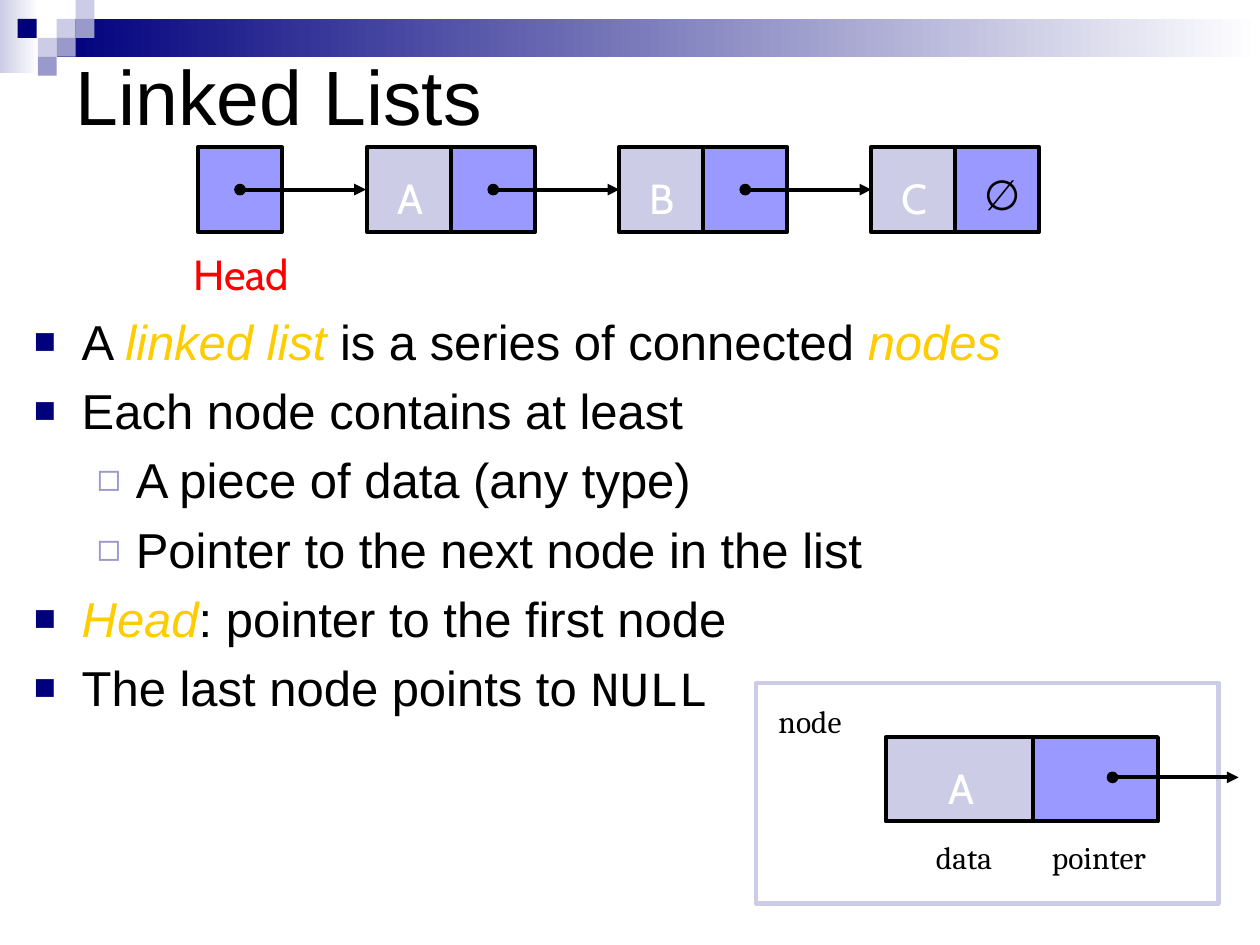
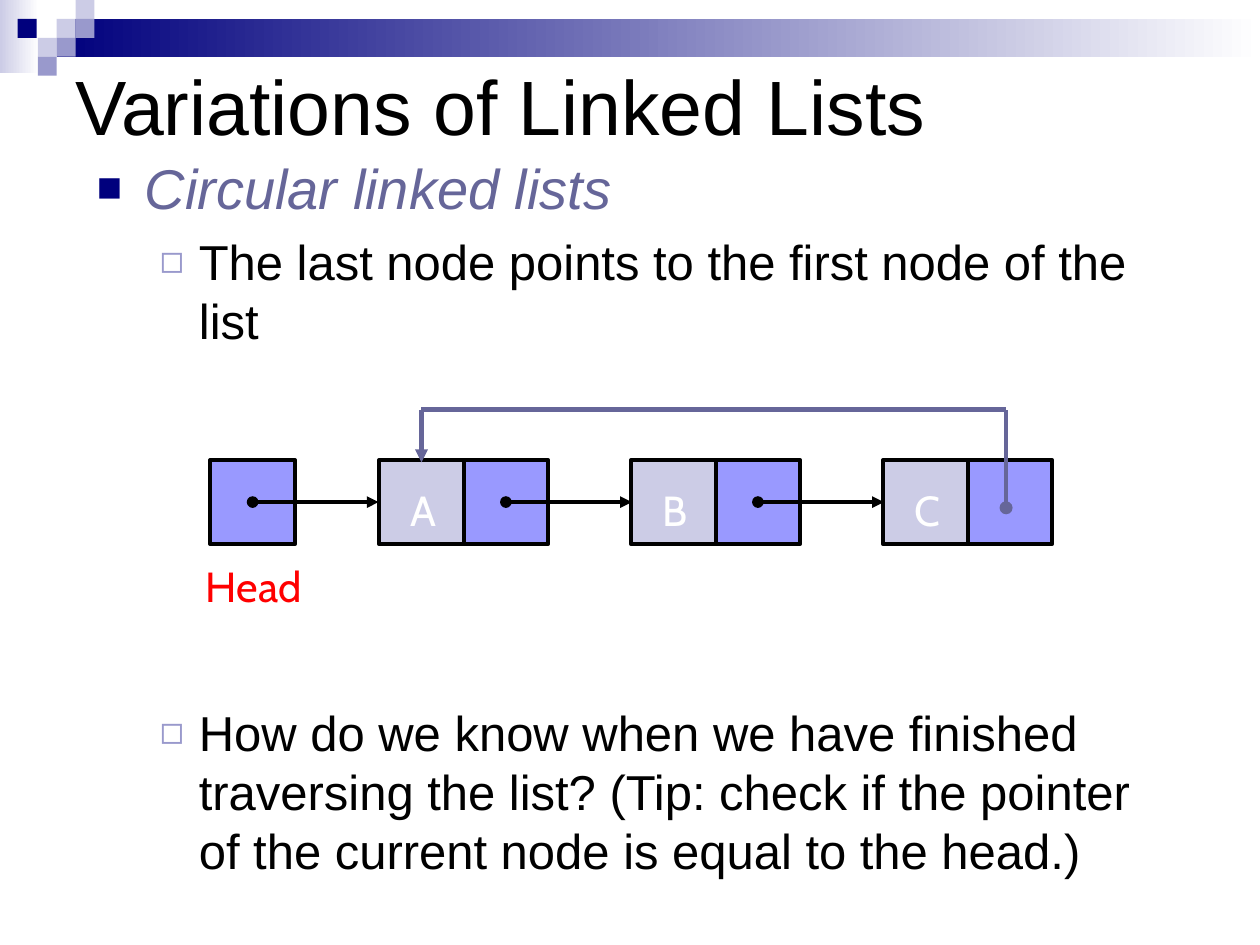
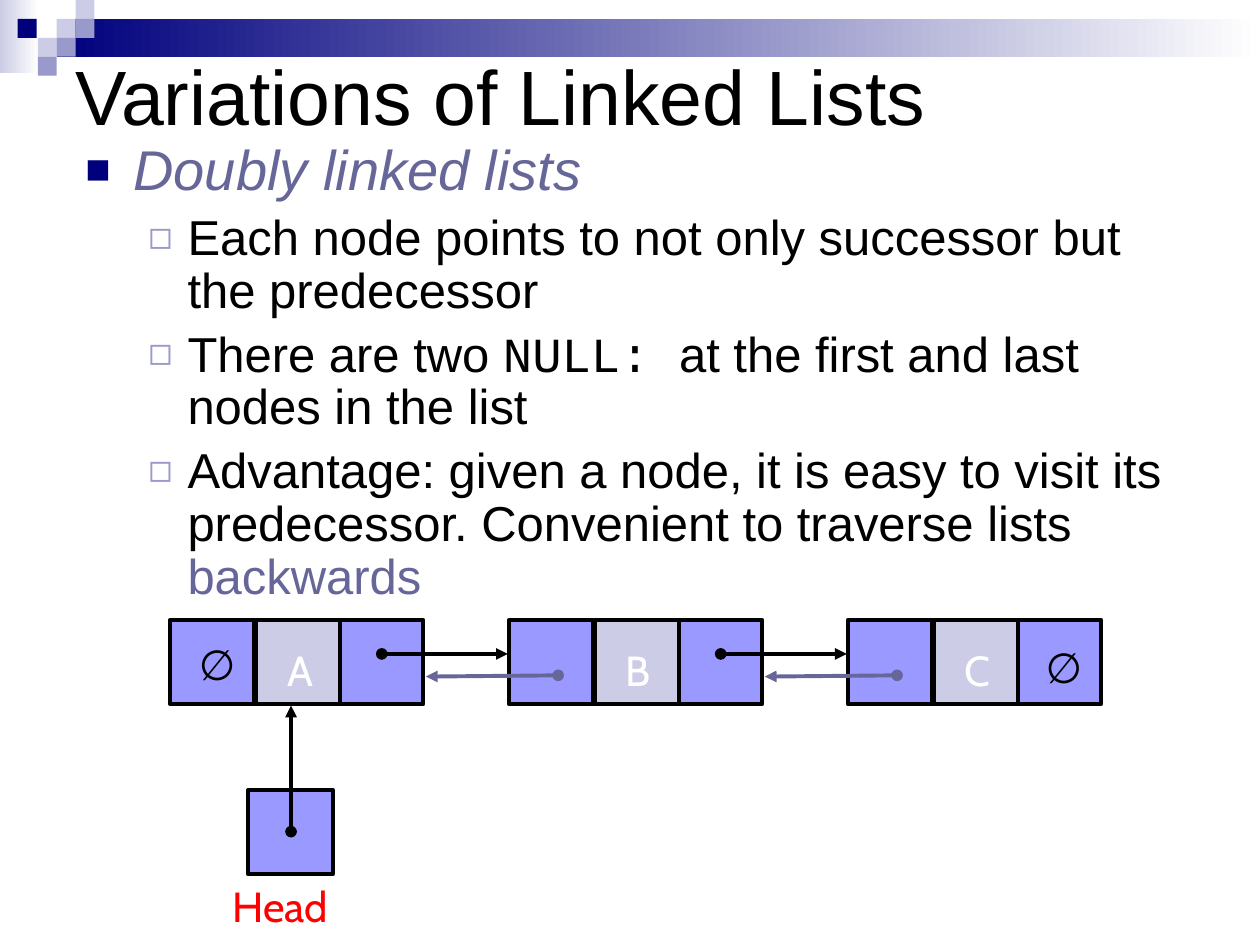
from lxml.etree import SubElement
from pptx import Presentation
from pptx.dml.color import RGBColor
from pptx.enum.shapes import MSO_CONNECTOR, MSO_SHAPE
from pptx.enum.text import MSO_ANCHOR, MSO_AUTO_SIZE, PP_ALIGN
from pptx.oxml.ns import qn
from pptx.util import Inches, Pt

COLORS = {
    "black": "000000", "white": "FFFFFF", "navy": "00007D", "lilac": "CCCCE6",
    "mauve": "9999CC", "pointer": "9999FF", "accent": "666699",
    "term": "FFCC00", "head": "FF0000",
}

# Content: each paragraph is (level, runs), each run (text, style)
STYLES = {
    "plain": {},
    "term": {"color": "term", "italic": True},
    "topic": {"color": "accent", "italic": True, "size": 32},
    "accent": {"color": "accent"},
    "code": {"font": "Courier New"},
}
DEFINITION = [
    (0, [("A ", "plain"), ("linked list", "term"),
         (" is a series of connected ", "plain"), ("nodes", "term")]),
    (0, [("Each node contains at least", "plain")]),
    (1, [("A piece of data (any type)", "plain")]),
    (1, [("Pointer to the next node in the list", "plain")]),
    (0, [("Head", "term"), (": pointer to the first node", "plain")]),
    (0, [("The last node points to ", "plain"), ("NULL", "code")]),
]
CIRCULAR = [
    (0, [("Circular linked lists", "topic")]),
    (1, [("The last node points to the first node of the list", "plain")]),
    (1, [("How do we know when we have finished traversing the list? "
          "(Tip: check if the pointer of the current node is equal to the head.)",
          "plain")]),
]
DOUBLY = [
    (0, [("Doubly linked lists", "topic")]),
    (1, [("Each node points to not only successor but the predecessor", "plain")]),
    (1, [("There are two ", "plain"), ("NULL: ", "code"),
         ("at the first and last nodes in the list", "plain")]),
    (1, [("Advantage: given a node, it is easy to visit its predecessor. "
          "Convenient to traverse lists ", "plain"), ("backwards", "accent")]),
]
NODES = ["A", "B", "C"]
NULL_SIGN = "∅"
CAPTIONS = [("data", 7.33, 6.6, 0.75), ("pointer", 8.25, 6.6, 1.08),
            ("node", 6.08, 5.52, 0.92)]

# Shared geometry
LEVELS = [  # text indent, hanging, bullet, bullet colour, bullet size %
    (0.38, 0.38, "■", "navy", 75),
    (0.81, 0.31, "◻", "mauve", 80),
]
BANDS = [(0, 0, 0.31, 0.58, "lilac"), (0.45, 0.15, 9.55, 0.3, "navy")]
TILE = 0.15
TILES = [(0.45, 0.15, "lilac"), (0.6, 0, "lilac"), (0.6, 0.15, "mauve"),
         (0.3, 0.3, "lilac"), (0.14, 0.15, "navy"), (0.45, 0.3, "mauve"),
         (0.3, 0.45, "mauve")]
CELL = 0.67
CHAIN_STEP = 2
LINK = 1


def rgb(name):
    return RGBColor.from_string(COLORS[name])


def add_rect(slide, left, top, width, height, fill=None, line=None, weight=2.25):
    rect = slide.shapes.add_shape(MSO_SHAPE.RECTANGLE, Inches(left), Inches(top),
                                  Inches(width), Inches(height))
    rect.shadow.inherit = False
    if fill:
        rect.fill.solid()
        rect.fill.fore_color.rgb = rgb(fill)
    else:
        rect.fill.background()
    if line:
        rect.line.color.rgb = rgb(line)
        rect.line.width = Pt(weight)
    else:
        rect.line.fill.background()
    return rect


def add_run(paragraph, text, size, font="Arial", color="black", italic=False):
    run = paragraph.add_run()
    run.text = text
    run.font.size = Pt(size)
    run.font.name = font
    run.font.italic = italic
    run.font.color.rgb = rgb(color)


def add_frame(slide, left, top, width, height, wrap=True, grow=False):
    box = slide.shapes.add_textbox(Inches(left), Inches(top),
                                   Inches(width), Inches(height))
    frame = box.text_frame
    frame.word_wrap = wrap
    frame.auto_size = MSO_AUTO_SIZE.SHAPE_TO_FIT_TEXT if grow else MSO_AUTO_SIZE.NONE
    return frame


def add_label(slide, text, left, top, width, height=0.43, color="white"):
    frame = add_frame(slide, left, top, width, height, wrap=False, grow=True)
    frame.paragraphs[0].alignment = PP_ALIGN.CENTER
    add_run(frame.paragraphs[0], text, 24, "Cabin", color)


def add_link(slide, start, end, color="black", weight=2.25, head="oval", tail="triangle"):
    points = [Inches(value) for value in (*start, *end)]
    link = slide.shapes.add_connector(MSO_CONNECTOR.STRAIGHT, *points)
    link.line.color.rgb = rgb(color)
    link.line.width = Pt(weight)
    properties = link.element.spPr
    outline = properties.find(qn("a:ln"))
    for tag, kind in (("a:headEnd", head), ("a:tailEnd", tail)):
        if kind:
            SubElement(outline, qn(tag), type=kind)
    SubElement(properties, qn("a:effectLst"))


def set_bullet(paragraph, level):
    indent, hanging, mark, color, percent = LEVELS[level]
    properties = paragraph._p.get_or_add_pPr()
    properties.set("marL", str(Inches(indent)))
    properties.set("indent", str(-Inches(hanging)))
    SubElement(SubElement(properties, qn("a:buClr")), qn("a:srgbClr"), val=COLORS[color])
    SubElement(properties, qn("a:buSzPct"), val=str(percent * 1000))
    SubElement(properties, qn("a:buFont"), typeface="Arial")
    SubElement(properties, qn("a:buChar"), char=mark)


def add_body(slide, paragraphs, place, line_spacing=None, gaps=None):
    """Bulleted text; gaps maps a paragraph index to its space before in points."""
    frame = add_frame(slide, *place)
    for index, (level, runs) in enumerate(paragraphs):
        paragraph = frame.add_paragraph() if index else frame.paragraphs[0]
        paragraph.level = level
        paragraph.space_before = Pt((gaps or {}).get(index, 6))
        if line_spacing:
            paragraph.line_spacing = line_spacing
        set_bullet(paragraph, level)
        for text, style in runs:
            add_run(paragraph, text, **{"size": 28, **STYLES[style]})


def add_page(deck, title, title_top=0):
    slide = deck.slides.add_slide(deck.slide_layouts[6])
    for left, top, width, height, color in BANDS:
        fill = add_rect(slide, left, top, width, height, color).fill
        fill.gradient()
        fill.gradient_angle = 0
        for stop, shade in zip(fill.gradient_stops, (color, "white")):
            stop.color.rgb = rgb(shade)
    for left, top, color in TILES:
        add_rect(slide, left, top, TILE, TILE, color)
    frame = add_frame(slide, 0.5, title_top, 9, 1.5)
    frame.vertical_anchor = MSO_ANCHOR.MIDDLE
    add_run(frame.paragraphs[0], title, 44)
    return slide


# Linked-list parts
def add_pointer_cell(slide, left, top, width=CELL):
    add_rect(slide, left, top, width, CELL, "pointer", "black")


def add_data_cell(slide, name, left, top, width=CELL):
    add_rect(slide, left, top, width, CELL, "lilac", "black")
    add_label(slide, name, left + (width - 0.37) / 2, top + 0.15, 0.37)


def add_null(slide, left, top):
    add_label(slide, NULL_SIGN, left + 0.13, top + 0.12, 0.43, color="black")


def add_head(slide, left, top, label_dx, label_dy):
    add_pointer_cell(slide, left, top)
    add_label(slide, "Head", left + label_dx, top + label_dy, 0.97, 0.5, "head")


def add_chain(slide, left, top):
    """Head cell and singly linked nodes; returns the left edge of each node."""
    lefts = [left + 2 * CELL + i * CHAIN_STEP for i in range(len(NODES))]
    add_head(slide, left, top, -0.14, 0.75)
    for name, node_left in zip(NODES, lefts):
        add_data_cell(slide, name, node_left, top)
        add_pointer_cell(slide, node_left + CELL, top)
    middle = top + CELL / 2
    for cell_left in [left] + [node_left + CELL for node_left in lefts[:-1]]:
        start = cell_left + CELL / 2
        add_link(slide, (start, middle), (start + LINK, middle))
    return lefts


def build_definition(deck):
    slide = add_page(deck, "Linked Lists")
    add_body(slide, DEFINITION, (0.17, 2.42, 8.58, 3.33))
    lefts = add_chain(slide, 1.57, 1.17)
    add_null(slide, lefts[-1] + CELL, 1.17)

    # Close-up of one node
    add_pointer_cell(slide, 8.19, 5.85, 1)
    add_data_cell(slide, "A", 7.03, 5.85, 1.17)
    add_rect(slide, 6, 5.42, 3.67, 1.75, line="lilac", weight=2.5)
    for text, left, top, width in CAPTIONS:
        frame = add_frame(slide, left, top, width, 0.4, grow=True)
        add_run(frame.paragraphs[0], text, 18, "Cambria")
    add_link(slide, (8.83, 6.17), (8.83 + LINK, 6.17))


def build_circular(deck):
    slide = add_page(deck, "Variations of Linked Lists", 0.08)
    add_body(slide, CIRCULAR, (0.67, 1.17, 8.58, 4.92), gaps={2: 202})
    top = 3.65
    lefts = add_chain(slide, 1.67, top)

    # Way back from the last node to the first
    first, last, above = lefts[0] + CELL / 2, lefts[-1] + 1.5 * CELL - 0.03, top - 0.4
    route = [(last, top + 0.38), (last, above), (first, above), (first, top + 0.02)]
    ends = [("oval", None), (None, None), (None, "triangle")]
    for start, end, (head, tail) in zip(route, route[1:], ends):
        add_link(slide, start, end, "accent", 2.5, head, tail)


def build_doubly(deck):
    slide = add_page(deck, "Variations of Linked Lists")
    add_body(slide, DOUBLY, (0.58, 1.08, 8.92, 2.92), line_spacing=0.9)
    top, step = 4.92, 2.69
    lefts = [1.35 + i * step for i in range(len(NODES))]
    for name, left in zip(NODES, lefts):
        add_pointer_cell(slide, left, top)
        add_pointer_cell(slide, left + 2 * CELL, top)
        add_data_cell(slide, name, left + CELL + 0.01, top)
    add_null(slide, lefts[0], top - 0.02)
    add_null(slide, lefts[-1] + 2 * CELL, top)
    for left, following in zip(lefts, lefts[1:]):
        add_link(slide, (left + 1.68, top + 0.27), (left + 1.68 + LINK, top + 0.27))
        add_link(slide, (following + 0.39, top + 0.44), (following - 0.66, top + 0.45),
                 "accent")
    add_head(slide, 1.97, 6.27, -0.23, CELL)
    add_link(slide, (2.31, 6.6), (2.31, 6.6 - LINK))


def main():
    deck = Presentation()
    deck.slide_width, deck.slide_height = Inches(10), Inches(7.5)
    build_definition(deck)
    build_circular(deck)
    build_doubly(deck)
    deck.save("out.pptx")


if __name__ == "__main__":
    main()
